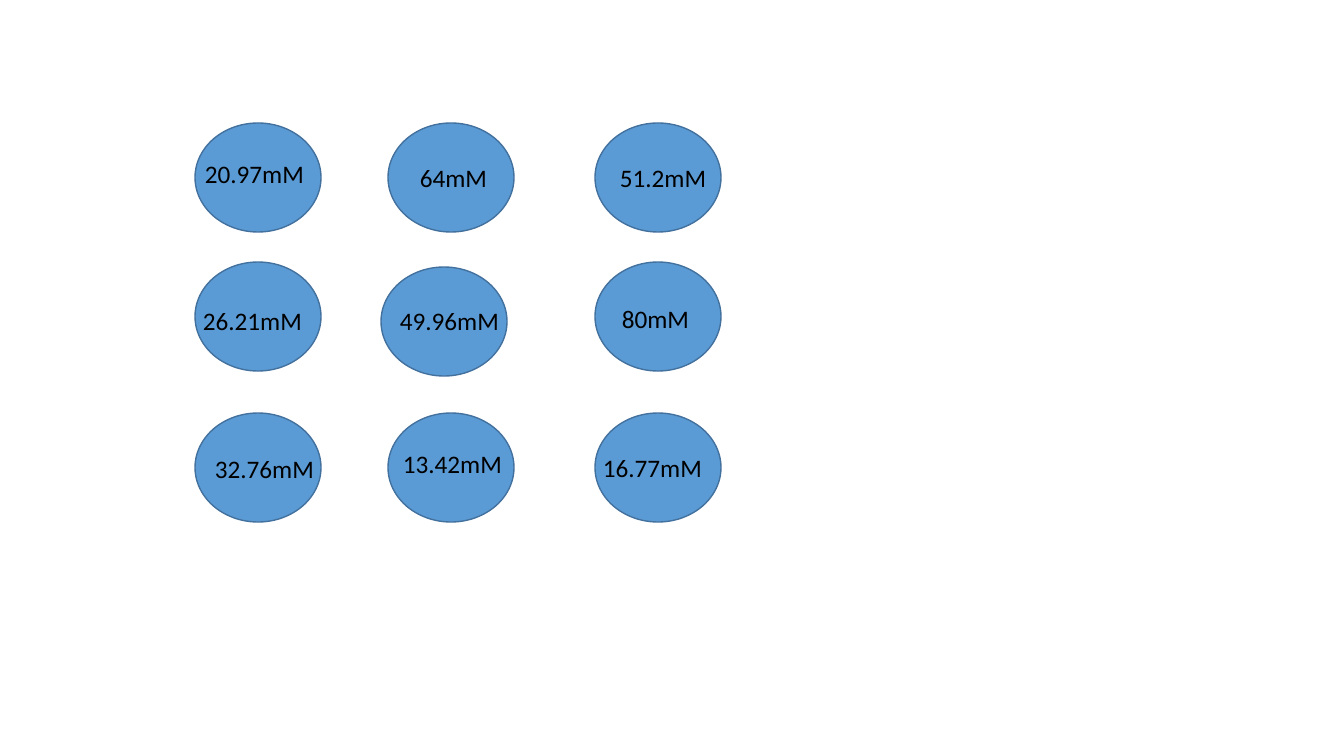
from pptx import Presentation
from pptx.dml.color import RGBColor
from pptx.enum.shapes import MSO_SHAPE
from pptx.enum.text import MSO_AUTO_SIZE
from pptx.util import Emu, Pt

OVAL = MSO_SHAPE.OVAL
GROW = MSO_AUTO_SIZE.SHAPE_TO_FIT_TEXT
BLUE = RGBColor(0x5B, 0x9B, 0xD5)
DARK_BLUE = RGBColor(0x43, 0x71, 0x9E)
BLACK = RGBColor(0, 0, 0)

COLUMN_LEFTS = (195, 388, 595)
ROW_TOPS = (123, 262, 413)
WELL_SIZE = (126, 109)
WELL_SHIFTS = {(1, 1): (-7, 5)}
LABEL_HEIGHT = 40
WIDE_LABEL, NARROW_LABEL = 135, 97

CONCENTRATIONS = [
    [("20.97mM", 195, 153), ("64mM", 410, 157), ("51.2mM", 610, 157)],
    [("26.21mM", 193, 300), ("49.96mM", 390, 300), ("80mM", 612, 298)],
    [("32.76mM", 205, 448), ("13.42mM", 393, 443), ("16.77mM", 593, 447)],
]


def px(*lengths):
    return [Emu(round(length * 914400 / 100.8)) for length in lengths]


def add_well(slide, left, top):
    well = slide.shapes.add_shape(OVAL, *px(left, top, *WELL_SIZE))
    well.shadow.inherit = False
    well.fill.solid()
    well.fill.fore_color.rgb = BLUE
    well.line.color.rgb = DARK_BLUE
    well.line.width = Pt(1)


def add_label(slide, text, left, top):
    width = WIDE_LABEL if "." in text else NARROW_LABEL
    label = slide.shapes.add_textbox(*px(left, top, width, LABEL_HEIGHT))
    text_frame = label.text_frame
    text_frame.word_wrap = True
    text_frame.auto_size = GROW
    text_frame.text = text
    font = text_frame.paragraphs[0].runs[0].font
    font.name = "Calibri"
    font.size = Pt(18)
    font.color.rgb = BLACK


presentation = Presentation()
presentation.slide_width, presentation.slide_height = px(1344, 756)
slide = presentation.slides.add_slide(presentation.slide_layouts[6])

for row, top in enumerate(ROW_TOPS):
    for column, left in enumerate(COLUMN_LEFTS):
        shift_x, shift_y = WELL_SHIFTS.get((row, column), (0, 0))
        add_well(slide, left + shift_x, top + shift_y)

for row_labels in CONCENTRATIONS:
    for text, left, top in row_labels:
        add_label(slide, text, left, top)

presentation.save("out.pptx")
